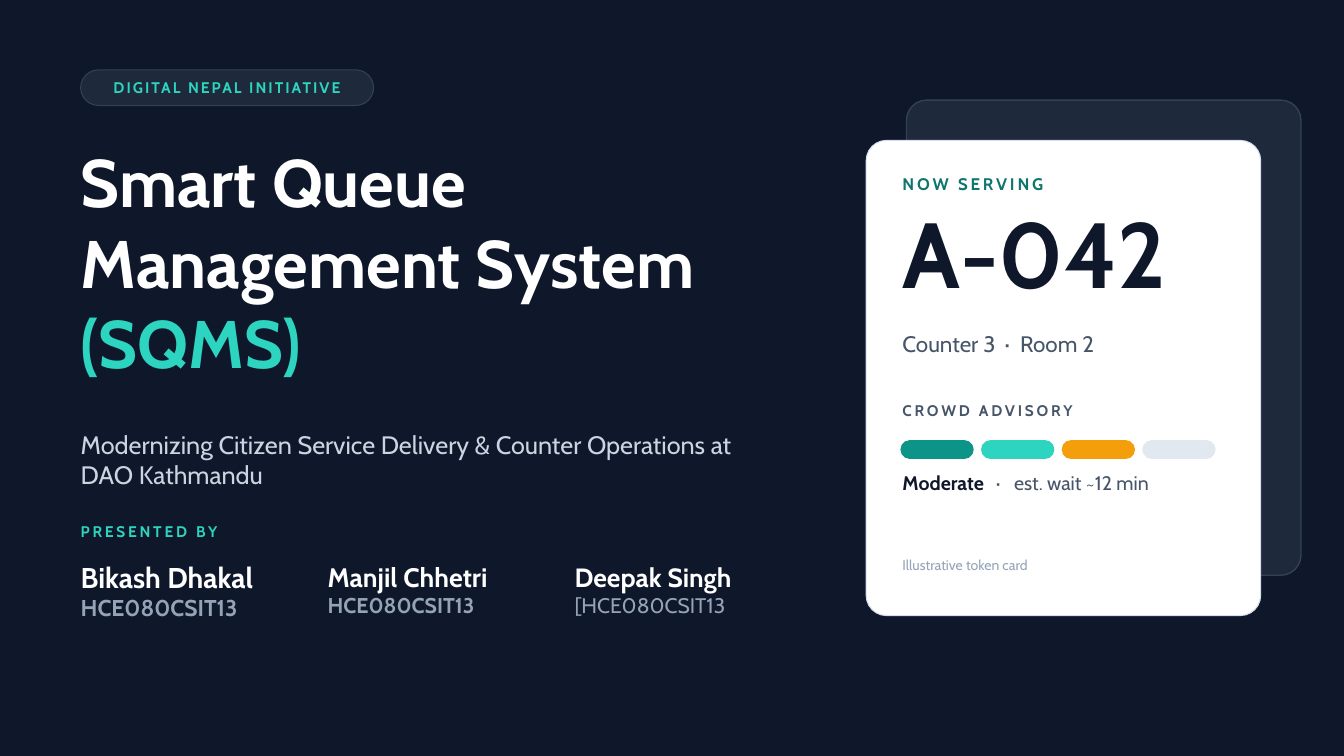
from lxml.etree import SubElement
from pptx import Presentation
from pptx.dml.color import RGBColor
from pptx.enum.shapes import MSO_SHAPE
from pptx.enum.text import MSO_ANCHOR, MSO_AUTO_SIZE, PP_ALIGN
from pptx.oxml.ns import qn
from pptx.util import Inches, Pt

FONT = "Cabin"
COLORS = {
    "night": "0F172A", "panel": "1E293B", "edge": "334155", "white": "FFFFFF",
    "mint": "2DD4BF", "teal": "0D9488", "deep_teal": "0F766E", "amber": "F59E0B",
    "idle": "E2E8F0", "card_edge": "D5DEEA", "mist": "CBD5E1", "muted": "94A3B8",
    "slate": "475569",
}

# Content
BADGE = "DIGITAL NEPAL INITIATIVE"
TITLE = [("Smart Queue", "white"), ("Management System", "white"), ("(SQMS)", "mint")]
SUBTITLE = "Modernizing Citizen Service Delivery & Counter Operations at DAO Kathmandu"
PRESENTERS = [  # name, roll number, name size, roll number bold, top
    ("Bikash Dhakal", "HCE080CSIT13", 30.6, True, 8.33),
    ("Manjil Chhetri", "HCE080CSIT13", 28.6, True, 8.34),
    ("Deepak Singh", "[HCE080CSIT13", 28.3, False, 8.35),
]
CARD_LINES = [  # text, top, height, format
    ("NOW SERVING", 2.58, 0.49, dict(size=18, color="deep_teal", bold=True, spacing=3)),
    ("A-042", 2.92, 2.03, dict(size=99, color="night", bold=True)),
    ("Counter 3\t·\tRoom 2", 4.91, 0.57, dict(size=24, color="slate", tabs=(1.52, 1.75))),
    ("CROWD ADVISORY", 5.97, 0.48, dict(size=16.5, color="slate", bold=True, spacing=3)),
    ("Illustrative token card", 8.28, 0.49, dict(size=15, color="muted")),
]
CROWD_LEVELS = ["teal", "mint", "amber", "idle"]

# Grid
LEFT = 1.2
PRESENTER_STEP = 3.675
CARD_LEFT, CARD_TOP, CARD_WIDTH, CARD_HEIGHT = 12.89, 2.09, 5.87, 7.07
CARD_OFFSET = 0.6
CARD_TEXT_LEFT = 13.43
LEVEL_LEFT, LEVEL_STEP = 13.41, 1.2


def rgb(name):
    return RGBColor.from_string(COLORS[name])


def write(frame, text, size, color, bold=False, spacing=0, align=PP_ALIGN.LEFT,
          tabs=(), same_line=False, first=True):
    """Write one run, in a new paragraph unless it is first or on the same line."""
    paragraph = frame.paragraphs[-1] if first or same_line else frame.add_paragraph()
    if tabs:
        tab_list = SubElement(paragraph._p.get_or_add_pPr(), qn("a:tabLst"))
        for stop in tabs:
            SubElement(tab_list, qn("a:tab"), pos=str(Inches(stop)), algn="l")
    paragraph.alignment = align
    paragraph.line_spacing = Pt(round(size * 1.2, 1))
    paragraph.space_before = Pt(0)
    run = paragraph.add_run()
    run.text = text
    run.font.name, run.font.size, run.font.bold = FONT, Pt(size), bold
    run.font.color.rgb = rgb(color)
    if spacing:
        run._r.get_or_add_rPr().set("spc", str(round(spacing * 100)))


def prepare(frame, anchor=MSO_ANCHOR.TOP):
    frame.margin_left = frame.margin_top = frame.margin_right = frame.margin_bottom = 0
    frame.word_wrap = True
    frame.auto_size = MSO_AUTO_SIZE.NONE
    frame.vertical_anchor = anchor
    return frame


def add_frame(slide, left, top, width, height):
    box = slide.shapes.add_textbox(*map(Inches, (left, top, width, height)))
    return prepare(box.text_frame)


def add_panel(slide, left, top, width, height, radius, fill, line, line_width):
    panel = slide.shapes.add_shape(MSO_SHAPE.ROUNDED_RECTANGLE,
                                   *map(Inches, (left, top, width, height)))
    panel.adjustments[0] = radius / min(width, height)
    panel.shadow.inherit = False
    panel.fill.solid()
    panel.fill.fore_color.rgb = rgb(fill)
    panel.line.color.rgb = rgb(line)
    panel.line.width = Pt(line_width)
    return panel


def main():
    deck = Presentation()
    deck.slide_width, deck.slide_height = Inches(20), Inches(11.25)
    slide = deck.slides.add_slide(deck.slide_layouts[5])
    slide.background.fill.solid()
    slide.background.fill.fore_color.rgb = rgb("night")

    # Badge
    badge = add_panel(slide, LEFT, 1.04, 4.36, 0.53, 0.265, "panel", "edge", 1.13)
    write(prepare(badge.text_frame, MSO_ANCHOR.MIDDLE), BADGE, 16.5, "mint",
          bold=True, spacing=2.2, align=PP_ALIGN.CENTER)

    # Title and subtitle
    title = slide.shapes.title
    title.left, title.top, title.width, title.height = map(Inches, (LEFT, 2.09, 10.8, 4.21))
    prepare(title.text_frame)
    for row, (line, color) in enumerate(TITLE):
        write(title.text_frame, line, 72, color, bold=True, first=row == 0)
    write(add_frame(slide, LEFT, 6.39, 9.9, 1.41), SUBTITLE, 27, "mist")

    # Presenters
    write(add_frame(slide, LEFT, 7.77, 6, 0.48), "PRESENTED BY", 16.5, "mint",
          bold=True, spacing=3)
    for column, (name, roll_number, size, bold, top) in enumerate(PRESENTERS):
        presenter = add_frame(slide, LEFT + column * PRESENTER_STEP, top, 3.6, 0.95)
        write(presenter, name, size, "white", bold=True)
        write(presenter, roll_number, round(size * 0.8, 1), "muted", bold=bold, first=False)

    # Token card over its backing panel
    add_panel(slide, CARD_LEFT + CARD_OFFSET, CARD_TOP - CARD_OFFSET, CARD_WIDTH,
              CARD_HEIGHT, 0.3, "panel", "edge", 1.5)
    add_panel(slide, CARD_LEFT, CARD_TOP, CARD_WIDTH, CARD_HEIGHT, 0.3,
              "white", "card_edge", 1.13)
    for text, top, height, style in CARD_LINES:
        write(add_frame(slide, CARD_TEXT_LEFT, top, 4.8, height), text, **style)

    # Crowd level bar
    for step, color in enumerate(CROWD_LEVELS):
        add_panel(slide, LEVEL_LEFT + step * LEVEL_STEP, 6.56, 1.07, 0.26, 0.13,
                  color, color, 1.5)
    advisory = add_frame(slide, CARD_TEXT_LEFT, 7, 4.95, 0.58)
    write(advisory, "Moderate", 21, "night", bold=True, tabs=(1.39, 1.66))
    write(advisory, "\t·\test. wait ~12 min", 21, "slate", same_line=True)

    deck.save("out.pptx")


if __name__ == "__main__":
    main()
